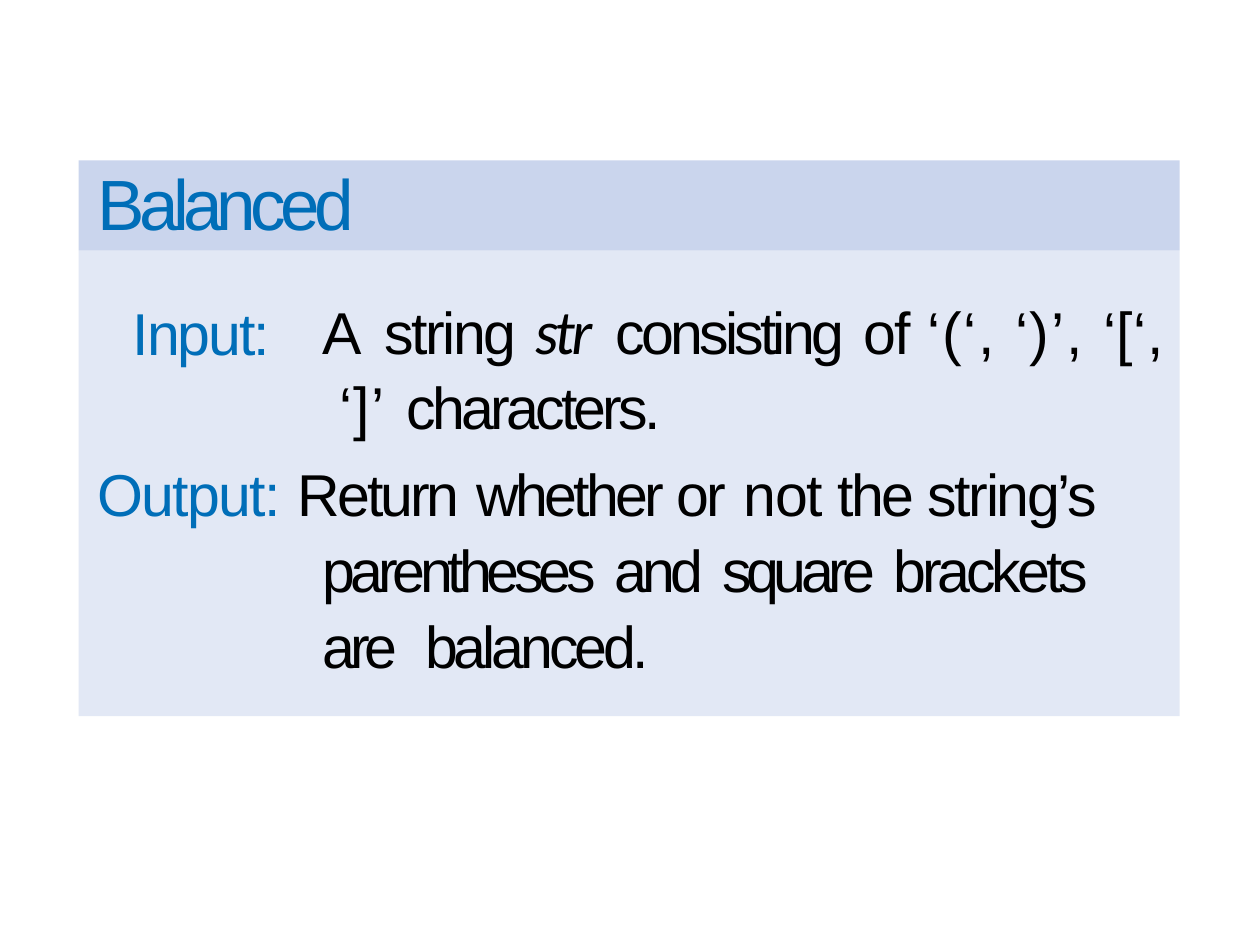
from lxml import etree
from pptx import Presentation
from pptx.dml.color import RGBColor
from pptx.enum import shapes, text
from pptx.oxml import ns
from pptx.util import Cm, Pt

COLORS = {"header": "CAD5ED", "panel": "E2E8F5", "label": "006EB8", "ink": "000000"}
PANEL_LEFT, PANEL_WIDTH = 0.8, 11.19

# Words: wording, letter spacing, spacing of the space after it (None for no space)
TITLE_WORDS = [("Balanced", -1.65, None)]
LABEL_WORDS = [("Input:", -0.6, None)]
INPUT_WORDS = [
    ("A", -0.6, 1.7),
    ("string", -0.7, 0.7),
    ("str", -1.2, 2),
    ("consisting", -1.1, 0.9),
    ("of", -0.6, 0.1),
    ("‘(‘, ‘)’,", 0.5, 0.5),
    ("‘[‘,", 0.2, 0.2),
    ("‘]’", 0.4, 1.1),
    ("characters.", -1.1, None),
]
OUTPUT_WORDS = [
    ("Output:", -0.5, 0.2),
    ("Return", -0.9, 0.1),
    ("whether", -1.1, -1),
    ("or", -1, 0.4),
    ("not", -0.5, -0.5),
    ("the", -0.8, -0.8),
    ("string’s", -0.7, -0.7),
    ("parentheses", -1.5, 0.6),
    ("and", -1.4, 0.6),
    ("square", -1.6, 0.4),
    ("brackets", -1.2, -1.2),
    ("are", -1.6, 3.3),
    ("balanced.", -1.2, None),
]
LABELS = ("Balanced", "Input:", "Output:")


def add_panel(slide, top, height, color):
    """Add a borderless band behind the text."""
    shape = slide.shapes.add_shape(
        shapes.MSO_SHAPE.RECTANGLE, Cm(PANEL_LEFT), Cm(top), Cm(PANEL_WIDTH), Cm(height))
    shape.shadow.inherit = False
    shape.fill.solid()
    shape.fill.fore_color.rgb = RGBColor.from_string(COLORS[color])
    shape.line.fill.background()
    slide.shapes._spTree.insert(2, shape._element)


def place(shape, left, top, width, height):
    shape.left, shape.top, shape.width, shape.height = Cm(left), Cm(top), Cm(width), Cm(height)


def add_run(paragraph, wording, spacing, size, color, italic=False):
    run = paragraph.add_run()
    run.text = wording
    run.font.name = "Lato" if italic else "Arial"
    run.font.size = Pt(size)
    run.font.italic = italic
    run.font.color.rgb = RGBColor.from_string(COLORS[color])
    run._r.get_or_add_rPr().set("spc", str(round(spacing * 100)))


def write(shape, words, size, inset, before, line=None, margin=0.03, indent=0):
    """Fill a shape with one left-aligned paragraph, run by run."""
    frame = shape.text_frame
    frame.word_wrap = True
    frame.auto_size = text.MSO_AUTO_SIZE.NONE
    frame.vertical_anchor = text.MSO_ANCHOR.TOP
    frame.margin_left = frame.margin_right = frame.margin_bottom = 0
    frame.margin_top = Cm(inset)
    paragraph = frame.paragraphs[0]
    paragraph.alignment = text.PP_ALIGN.LEFT
    paragraph.space_before = Pt(before)
    paragraph.line_spacing = line
    properties = paragraph._p.get_or_add_pPr()
    properties.set("marL", str(Cm(margin)))
    properties.set("indent", str(Cm(indent)))
    etree.SubElement(properties, ns.qn("a:buNone"))
    for wording, spacing, gap in words:
        color = "label" if wording in LABELS else "ink"
        add_run(paragraph, wording, spacing, size, color, italic=wording == "str")
        if gap is not None:
            add_run(paragraph, " ", gap, size, color)


def main():
    presentation = Presentation()
    presentation.slide_width, presentation.slide_height = Pt(363), Pt(272.5)
    slide = presentation.slides.add_slide(presentation.slide_layouts[1])

    # Background bands
    add_panel(slide, 1.63, 0.92, "header")
    add_panel(slide, 2.55, 4.73, "panel")

    # Title
    title = slide.shapes.title
    place(title, 0.96, 1.57, 5.26, 0.94)
    write(title, TITLE_WORDS, 20.5, 0.05, 1.1)

    # Input label and description
    label = slide.shapes.add_textbox(Cm(1.32), Cm(2.96), Cm(1.47), Cm(0.8))
    write(label, LABEL_WORDS, 17, 0.05, 1.2)
    description = slide.shapes.add_textbox(Cm(3.25), Cm(2.92), Cm(8.6), Cm(1.63))
    write(description, INPUT_WORDS, 17, 0.03, 0.9, 1.07, margin=0.2, indent=-0.17)

    # Output
    body = slide.placeholders[1]
    place(body, 0.97, 2.21, 10.87, 5.33)
    write(body, OUTPUT_WORDS, 17, 2.39, 0.9, 1.07, margin=2.31, indent=-2.29)

    presentation.save("out.pptx")


if __name__ == "__main__":
    main()
